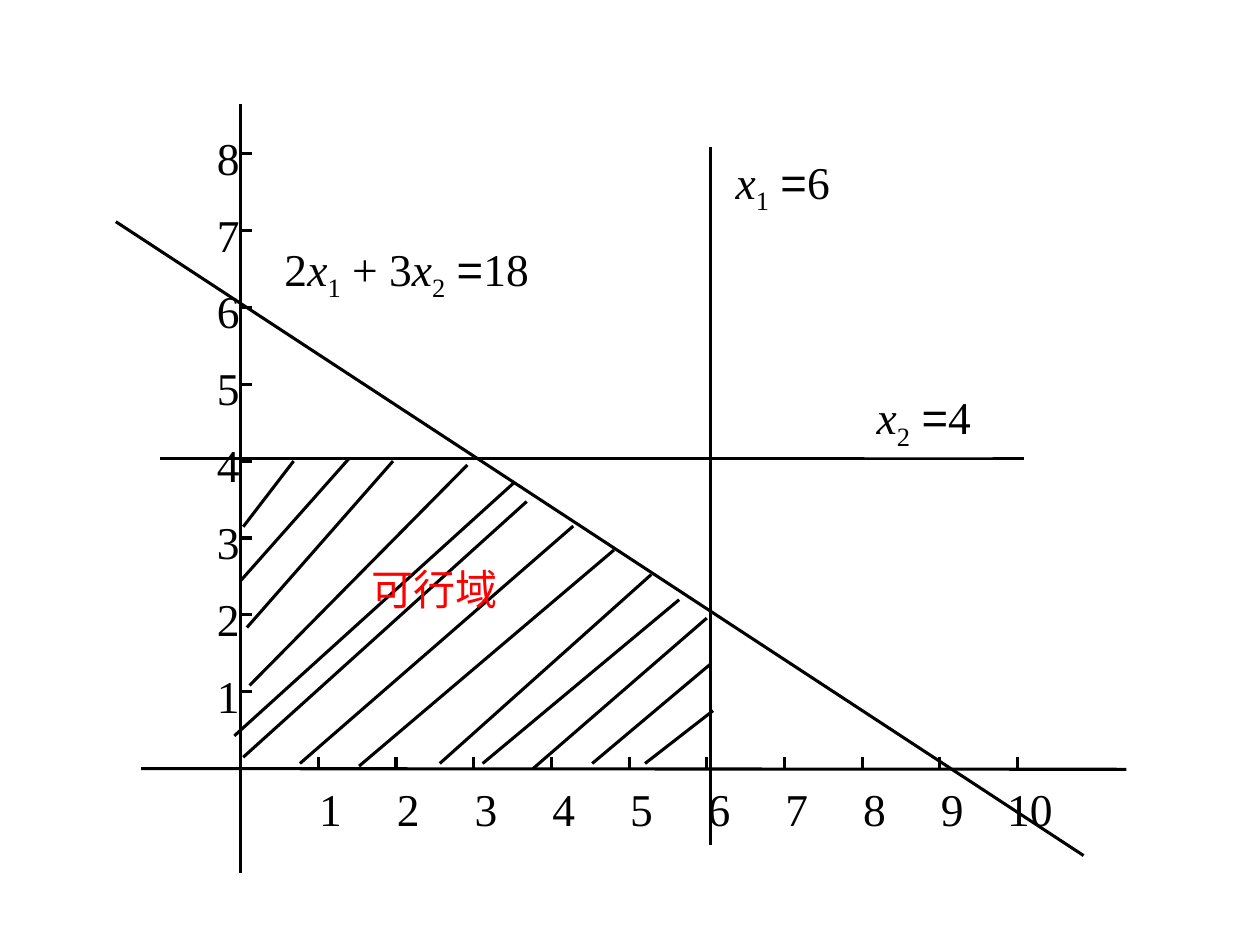
from lxml import etree
from pptx import Presentation
from pptx.dml.color import RGBColor
from pptx.enum.shapes import MSO_CONNECTOR
from pptx.enum.text import PP_ALIGN
from pptx.oxml.ns import qn
from pptx.util import Pt

BLACK = RGBColor(0, 0, 0)
WHITE = RGBColor(255, 255, 255)
RED = RGBColor(255, 0, 0)
SERIF = "Times New Roman"

# Axis geometry in points
ORIGIN_X, ORIGIN_Y = 137.5, 439.2
UNIT_X, UNIT_Y = 44.4, 43.92
TICK = 6.8

presentation = Presentation()
presentation.slide_width, presentation.slide_height = Pt(720), Pt(540)
slide = presentation.slides.add_slide(presentation.slide_layouts[6])


def add_line(x1, y1, x2, y2):
    line = slide.shapes.add_connector(
        MSO_CONNECTOR.STRAIGHT, Pt(x1), Pt(y1), Pt(x2), Pt(y2))
    line.line.color.rgb = BLACK
    line.line.width = Pt(1.75)
    etree.SubElement(line._element.spPr, qn("a:effectLst"))


def add_text(left, top, width, height, text="", size=26, color=BLACK, margins=(0, 0)):
    box = slide.shapes.add_textbox(Pt(left), Pt(top), Pt(width), Pt(height))
    frame = box.text_frame
    frame.word_wrap = False
    frame.margin_left = frame.margin_right = Pt(margins[0])
    frame.margin_top = frame.margin_bottom = Pt(margins[1])
    paragraph = frame.paragraphs[0]
    paragraph.text = text
    paragraph.font.name = SERIF
    paragraph.font.size = Pt(size)
    paragraph.font.color.rgb = color
    return box


# Horizontal axis ticks and numbers
for value in range(11):
    x = ORIGIN_X + value * UNIT_X
    add_line(x, ORIGIN_Y, x, ORIGIN_Y - TICK)
    if value:
        label_width = 15 * len(str(value))
        number = add_text(x + 7 - label_width / 2, 446.4, label_width, 31, str(value))
        number.text_frame.paragraphs[0].alignment = PP_ALIGN.CENTER

# Vertical axis ticks and numbers
for value in range(9):
    y = ORIGIN_Y - value * UNIT_Y
    add_line(ORIGIN_X, y, ORIGIN_X + TICK, y)
    if value:
        add_text(123.9, y - 13.7, 13, 31, str(value))

# Axes
add_line(80.6, ORIGIN_Y, 643.7, ORIGIN_Y + 0.4)
add_line(ORIGIN_X, 499, ORIGIN_X, 59.5)

# Hatching of the feasible region
HATCHING = [
    (407.5, 406.1, 368.6, 436.3),
    (406.1, 379.4, 338.4, 436.3),
    (403.9, 353.2, 304.6, 439.2),
    (388.1, 342.7, 275.8, 436.3),
    (372.2, 328.3, 251.3, 436.3),
    (350.9, 314.3, 205.2, 437.8),
    (327.6, 300.6, 171.4, 436.3),
    (301, 286.6, 139, 432.7),
    (293.8, 275.8, 133.9, 420.5),
    (267.1, 265.7, 142.6, 391.7),
    (224.6, 263.5, 141.1, 358.6),
    (199.4, 262.1, 137.5, 331.9),
    (167.8, 263.5, 139, 301),
]
for hatch in HATCHING:
    add_line(*hatch)

# Constraint lines
add_line(91.4, 262.1, 585.4, 262.1)
add_line(619.2, 488.9, 66.2, 126.7)
add_line(406.1, 84.2, 406.1, 483.1)

add_text(212.4, 322, 91.4, 29, "可行域", 24, RED)

# Constraint equations: "x" is italic, and the run after it is a subscript
EQUATIONS = [
    (493.9, 218.9, 73.4, ["x", "2", " ", "=", "4"]),
    (413.3, 84.2, 73.4, ["x", "1", " ", "=", "6"]),
    (155.5, 133.9, 169.9, ["2", "x", "1", " + 3", "x", "2", " ", "=", "18"]),
]
for left, top, width, parts in EQUATIONS:
    box = add_text(left, top, width, 42.5, margins=(7.2, 3.6))
    box.fill.solid()
    box.fill.fore_color.rgb = WHITE
    previous = ""
    for part in parts:
        run = box.text_frame.paragraphs[0].add_run()
        run.text = part
        run.font.name = "Arial" if part == "=" else SERIF
        run.font.italic = part == "x"
        if previous == "x":
            run._r.get_or_add_rPr().set("baseline", "-25000")
        previous = part

presentation.save("out.pptx")
